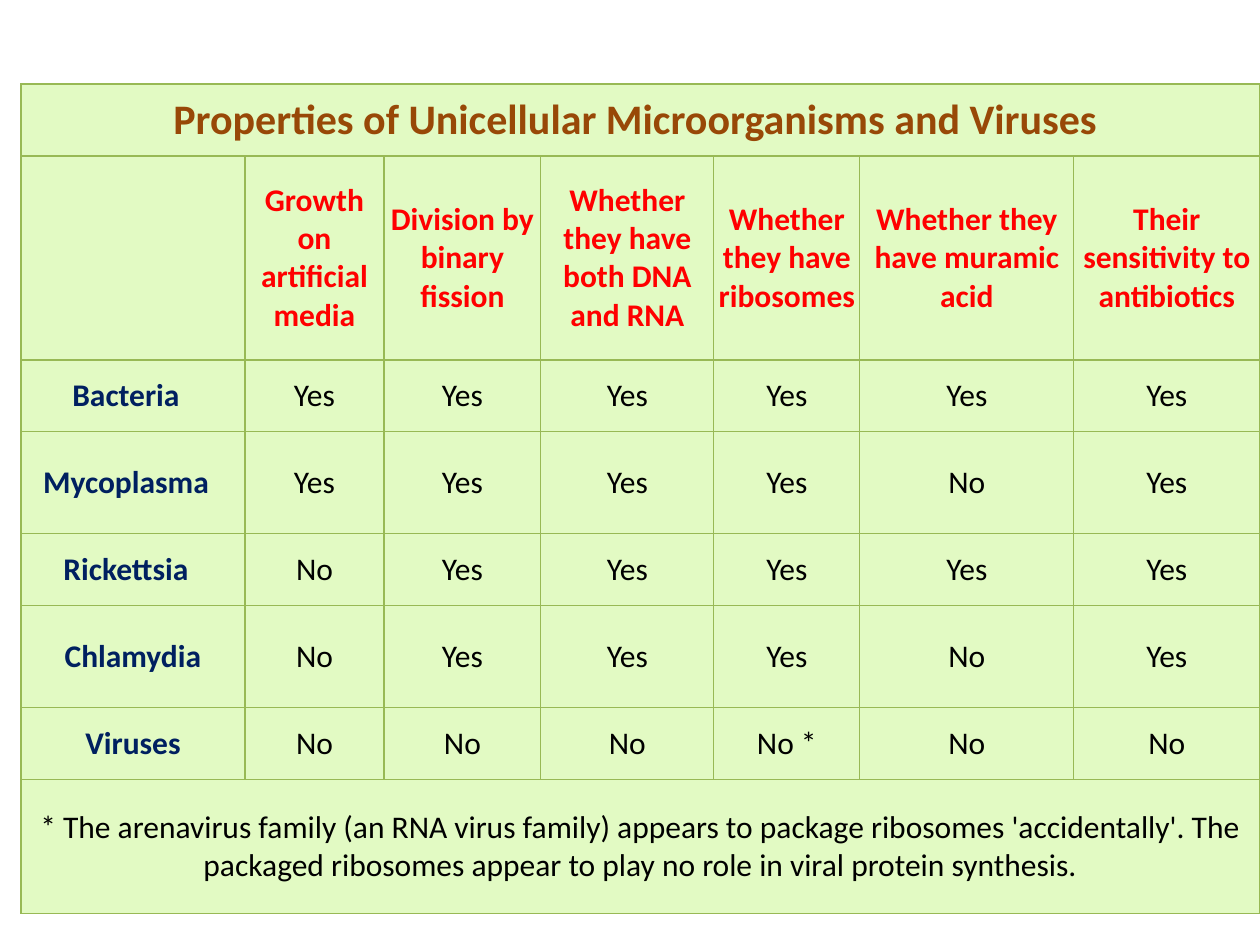
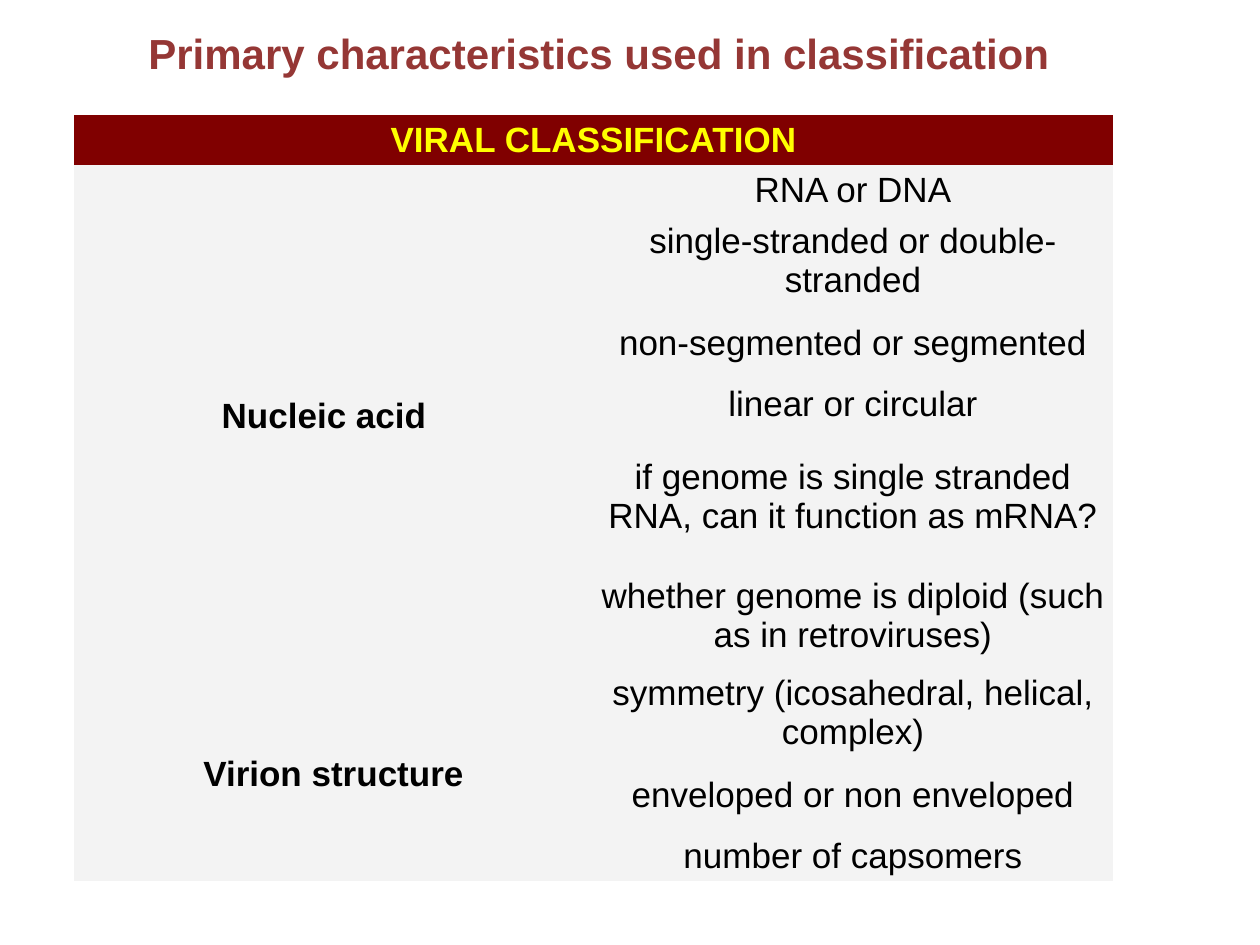
from dataclasses import dataclass
from typing import NamedTuple

from lxml.etree import SubElement
from pptx import Presentation
from pptx.dml.color import RGBColor as Rgb
from pptx.enum.text import MSO_ANCHOR as Anchor, MSO_AUTO_SIZE as AutoSize, PP_ALIGN as Align
from pptx.oxml.ns import qn
from pptx.util import Pt

PX = 914400 / 126


class Box(NamedTuple):
    """A region in px."""
    left: int
    top: int
    width: int
    height: int


class Type(NamedTuple):
    """A text style."""
    font: str
    size: int
    colour: str
    bold: bool = False


class Look(NamedTuple):
    """The fill, rule colour and inset of table cells."""
    fill: str
    rule: str
    inset: int


@dataclass(frozen=True)
class Theme:
    """Colours and type sizes of the deck."""
    banner = Type("Calibri", 24, "984807", True)
    property = Type("Calibri", 18, "FF0000", True)
    organism = Type("Calibri", 18, "002060", True)
    answer = Type("Calibri", 18, "000000")
    title = Type("Arial", 24, "953735", True)
    heading = Type("Arial", 20, "FFFF00", True)
    group = Type("Arial", 20, "000000", True)
    trait = Type("Arial", 20, "000000")
    green = Look("E2FAC3", "98B955", 3)
    maroon = Look("800000", "", 4)
    grey = Look("F3F3F3", "", 4)


THEME = Theme()

PROPERTIES = [
    "Growth on artificial media", "Division by binary fission",
    "Whether they have both DNA and RNA", "Whether they have ribosomes",
    "Whether they have muramic acid", "Their sensitivity to antibiotics",
]
ORGANISMS = [
    ("Bacteria", 14, "Yes Yes Yes Yes Yes Yes"),
    ("Mycoplasma", 14, "Yes Yes Yes Yes No Yes"),
    ("Rickettsia", 14, "No Yes Yes Yes Yes Yes"),
    ("Chlamydia", 0, "No Yes Yes Yes No Yes"),
    ("Viruses", 0, "No No No No* No No"),
]
FOOTNOTE = ("* The arenavirus family (an RNA virus family) appears to package ribosomes "
            "'accidentally'. The packaged ribosomes appear to play no role in viral "
            "protein synthesis.")
TRAITS = {
    "Nucleic acid": (19, [
        "RNA or DNA", "single-stranded or double-stranded", "non-segmented or segmented",
        "linear or circular", "if genome is single stranded RNA, can it function as mRNA?",
        "whether genome is diploid (such as in retroviruses)"]),
    "Virion structure": (0, [
        "symmetry (icosahedral, helical, complex)", "enveloped or non enveloped",
        "number of capsomers"]),
}


def px(length):
    """Turn px into EMU."""
    return round(length * PX)


def write(frame, text, style, align):
    """Put one styled paragraph into a text frame."""
    paragraph = frame.paragraphs[0]
    paragraph.alignment = align
    run = paragraph.add_run()
    run.text = text
    values = {"name": style.font, "size": Pt(style.size), "bold": style.bold}
    for key, value in values.items():
        setattr(run.font, key, value)
    run.font.color.rgb = Rgb.from_string(style.colour)


def dress(cell, look):
    """Give a cell its rules, fill, anchor and insets."""
    properties = cell._tc.get_or_add_tcPr()
    for side in ("a:lnL", "a:lnR", "a:lnT", "a:lnB"):
        line = SubElement(properties, qn(side), w=str(Pt(0.75)))
        if look.rule:
            SubElement(SubElement(line, qn("a:solidFill")), qn("a:srgbClr"), val=look.rule)
        else:
            SubElement(line, qn("a:noFill"))
    cell.fill.solid()
    cell.fill.fore_color.rgb = Rgb.from_string(look.fill)
    cell.vertical_anchor = Anchor.MIDDLE
    for side in ("left", "right", "top", "bottom"):
        setattr(cell, f"margin_{side}", px(look.inset))


def fill_cell(cell, text, style, shift=0):
    """Write centred text, widening the right inset by shift."""
    cell.margin_right += px(shift)
    write(cell.text_frame, text, style, Align.CENTER)


def add_grid(slide, box, widths, heights, look):
    """Add a plain table whose cells share one look."""
    grid = slide.shapes.add_table(len(heights), len(widths), *map(px, box)).table
    grid.first_row = grid.horz_banding = False
    for column, width in zip(grid.columns, widths):
        column.width = px(width)
    for row, height in zip(grid.rows, heights):
        row.height = px(height)
    for cell in grid.iter_cells():
        dress(cell, look)
    return grid


def add_properties(slide, box):
    """Compare the organisms property by property."""
    widths = [224, 139, 157, 173, 146, 214, 186]
    heights = [72, 204, 72, 102, 72, 102, 72, 134]
    grid = add_grid(slide, box, widths, heights, THEME.green)
    for row in (0, 7):
        grid.cell(row, 0).merge(grid.cell(row, 6))
    fill_cell(grid.cell(0, 0), "Properties of Unicellular Microorganisms and Viruses",
              THEME.banner, 10)
    for column, name in enumerate(PROPERTIES, 1):
        fill_cell(grid.cell(1, column), name, THEME.property)
    for row, (organism, shift, answers) in enumerate(ORGANISMS, 2):
        fill_cell(grid.cell(row, 0), organism, THEME.organism, shift)
        for column, answer in enumerate(answers.split(), 1):
            fill_cell(grid.cell(row, column), answer.replace("*", " *"), THEME.answer)
    fill_cell(grid.cell(7, 0), FOOTNOTE, THEME.answer)


def add_title(slide, box, text):
    """Add the title line above a table."""
    frame = slide.shapes.add_textbox(*map(px, box)).text_frame
    frame.word_wrap = False
    frame.auto_size = AutoSize.SHAPE_TO_FIT_TEXT
    write(frame, text, THEME.title, Align.LEFT)


def add_classification(slide, box):
    """List the traits of each group under one heading."""
    heights = [50, 50, 92, 72, 50, 135, 103, 92, 72, 50]
    grid = add_grid(slide, box, [519, 520], heights, THEME.grey)
    heading = grid.cell(0, 0)
    heading.merge(grid.cell(0, 1))
    heading.fill.fore_color.rgb = Rgb.from_string(THEME.maroon.fill)
    fill_cell(heading, "VIRAL CLASSIFICATION", THEME.heading)
    top = 1
    for group, (shift, traits) in TRAITS.items():
        label = grid.cell(top, 0)
        label.merge(grid.cell(top + len(traits) - 1, 0))
        fill_cell(label, group, THEME.group, shift)
        for row, trait in enumerate(traits, top):
            fill_cell(grid.cell(row, 1), trait, THEME.trait)
        top += len(traits)


def main():
    """Build both slides and save the deck."""
    deck = Presentation()
    deck.slide_width, deck.slide_height = px(1260), px(945)
    blank = deck.slide_layouts[6]
    add_properties(deck.slides.add_slide(blank), Box(21, 84, 1239, 830))
    classification = deck.slides.add_slide(blank)
    add_title(classification, Box(136, 21, 935, 63),
              "Primary characteristics used in classification")
    add_classification(classification, Box(74, 115, 1039, 766))
    deck.save("out.pptx")


if __name__ == "__main__":
    main()
